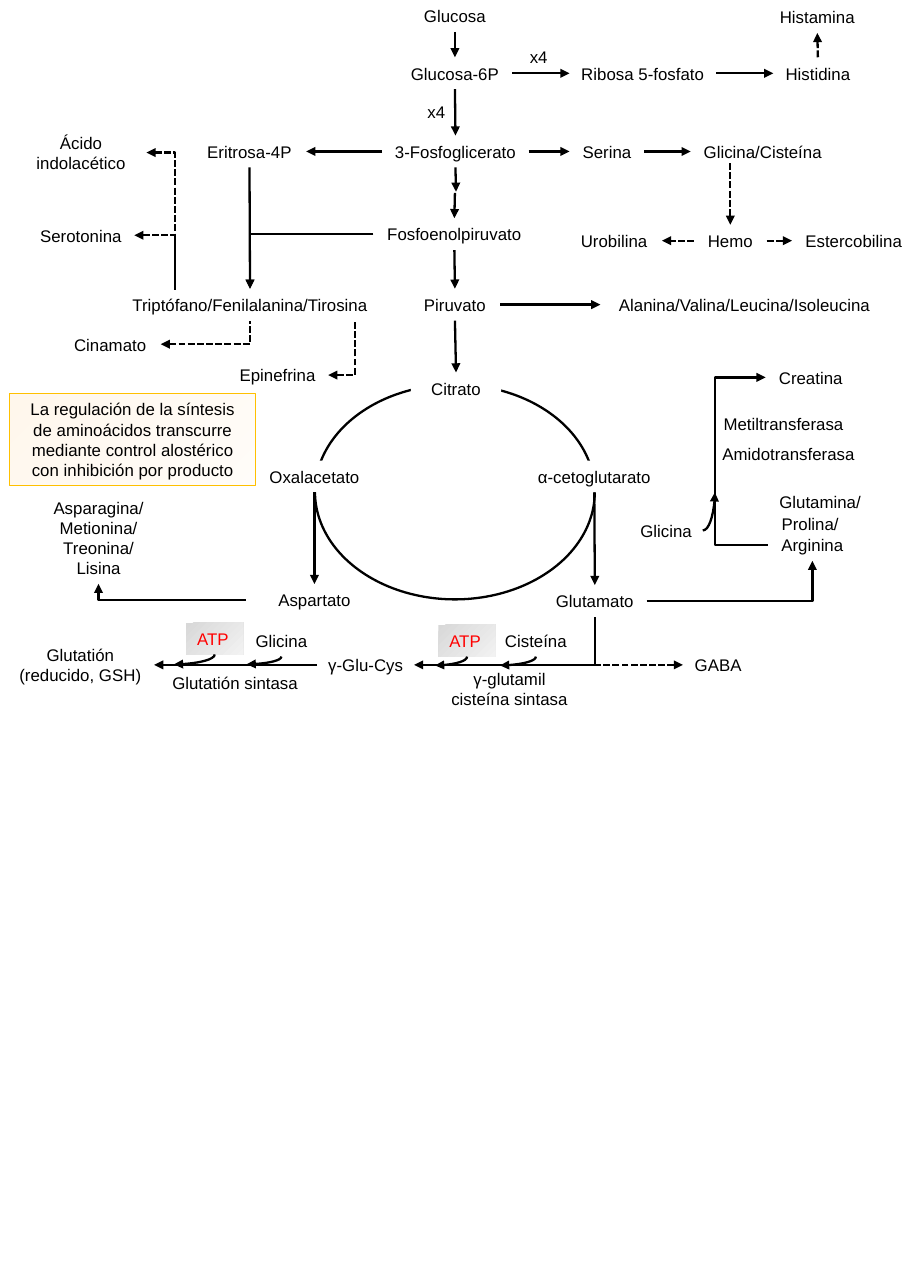
from lxml import etree
from pptx import Presentation
from pptx.dml.color import RGBColor
from pptx.enum.dml import MSO_LINE
from pptx.enum.shapes import MSO_CONNECTOR, MSO_SHAPE
from pptx.enum.text import MSO_ANCHOR, PP_ALIGN
from pptx.oxml.ns import qn
from pptx.util import Pt

PX = 9144  # 100 px to the inch
RECT, OVAL = MSO_SHAPE.RECTANGLE, MSO_SHAPE.OVAL
STRAIGHT, ELBOW, CURVE = MSO_CONNECTOR.STRAIGHT, MSO_CONNECTOR.ELBOW, MSO_CONNECTOR.CURVE
DASH, MIDDLE = MSO_LINE.SQUARE_DOT, MSO_ANCHOR.MIDDLE
LEFT, CENTER, RIGHT = PP_ALIGN.LEFT, PP_ALIGN.CENTER, PP_ALIGN.RIGHT
SIDE_TOP, SIDE_LEFT, SIDE_BOTTOM, SIDE_RIGHT = range(4)
ROW, TWO_ROWS, FOUR_ROWS = 29, 47, 84
BLACK, WHITE, RED, AMBER = "000000", "FFFFFF", "FF0000", "FFC000"
GREYS, CREAMS = ("D8D8D8", "F2F2F2"), ("FFD8A0", "FFF2E3")


def color(code):
    return RGBColor.from_string(code)


def assign(target, values):
    for name, value in values.items():
        setattr(target, name, value)


def fill_gradient(shape, ends, opacity=100):
    shape.fill.gradient()
    shape.fill.gradient_angle = 315
    for stop, code in zip(shape.fill.gradient_stops, ends):
        stop.color.rgb = color(code)
    if opacity < 100:
        for tint in shape._element.spPr.iter(qn("a:srgbClr")):
            etree.SubElement(tint, qn("a:alpha")).set("val", str(opacity * 1000))


def add_label(page, box, text, align=CENTER, ink=BLACK, fill=None, opacity=100, edge=None):
    place = [length * PX for length in box]
    if fill:
        shape = page.shapes.add_shape(RECT, *place)
        shape.shadow.inherit = False
        if isinstance(fill, tuple):
            fill_gradient(shape, fill, opacity)
        else:
            shape.fill.solid()
            shape.fill.fore_color.rgb = color(fill)
        if edge:
            shape.line.color.rgb = color(edge)
            shape.line.width = Pt(0.75)
        else:
            shape.line.fill.background()
    else:
        shape = page.shapes.add_textbox(*place)
    frame = shape.text_frame
    assign(frame, {"word_wrap": box[3] > ROW, "vertical_anchor": MIDDLE, "text": text})
    for para in frame.paragraphs:
        para.alignment = align
        for span in para.runs:
            assign(span.font, {"name": "Arial", "size": Pt(11)})
            span.font.color.rgb = color(ink)
    return shape


def add_labels(page, box, nodes, rows):
    """Each row: text, x, y, width and optional height, key and format."""
    for text, x, y, width, *rest in rows:
        style = dict(rest[0]) if rest else {}
        key = style.pop("key", text)
        height = style.pop("height", ROW)
        nodes[key] = add_label(page, (box[0] + x, box[1] + y, width, height), text, **style)


def find_point(box, nodes, end):
    """An end is either (x, y) in the box or (label key, side)."""
    if not isinstance(end[0], str):
        return (box[0] + end[0]) * PX, (box[1] + end[1]) * PX
    shape, side = nodes[end[0]], end[1]
    across = {SIDE_LEFT: 0, SIDE_RIGHT: 2}.get(side, 1)
    down = {SIDE_TOP: 0, SIDE_BOTTOM: 2}.get(side, 1)
    return shape.left + shape.width * across // 2, shape.top + shape.height * down // 2


def add_arrow(page, box, nodes, begin, end, kind=STRAIGHT, tip="tail", dash=None, bend=None):
    points = find_point(box, nodes, begin) + find_point(box, nodes, end)
    arrow = page.shapes.add_connector(kind, *points)
    for join, target in ((arrow.begin_connect, begin), (arrow.end_connect, end)):
        if isinstance(target[0], str):
            join(nodes[target[0]], target[1])
    properties = arrow._element.spPr
    geometry = properties.find(qn("a:prstGeom"))
    if bend is not None:
        guides = geometry.find(qn("a:avLst"))
        if guides is None:
            guides = etree.SubElement(geometry, qn("a:avLst"))
        guide = etree.SubElement(guides, qn("a:gd"))
        guide.set("name", "adj1")
        guide.set("fmla", f"val {bend}")
    elif kind != STRAIGHT:
        geometry.set("prst", "bentConnector2" if kind == ELBOW else "curvedConnector2")
    arrow.line.color.rgb = color(BLACK)
    arrow.line.width = Pt(1.5)
    if dash:
        arrow.line.dash_style = dash
    etree.SubElement(properties.find(qn("a:ln")), qn(f"a:{tip}End")).set("type", "triangle")
    etree.SubElement(properties, qn("a:effectLst"))


def draw_glycolysis(page, box, nodes):
    add_labels(page, box, nodes, [
        ("Glucosa", 35, 0, 78), ("Glucosa-6P", 22, 52, 104),
        ("3-Fosfoglicerato", 8, 123, 133), ("Fosfoenolpiruvato", 0, 198, 147),
        ("Piruvato", 33, 262, 82), ("Alanina/Valina/Leucina/Isoleucina", 206, 262, 262),
        ("x4", 37, 87, 38, {"align": RIGHT}), ("x4", 130, 37, 38, {"align": RIGHT})])
    for begin, end in [
            (("Glucosa", SIDE_BOTTOM), ("Glucosa-6P", SIDE_TOP)),
            (("Glucosa-6P", SIDE_BOTTOM), ("3-Fosfoglicerato", SIDE_TOP)),
            (("3-Fosfoglicerato", SIDE_BOTTOM), (75, 174)),
            ((74, 175), ("Fosfoenolpiruvato", SIDE_TOP)),
            (("Fosfoenolpiruvato", SIDE_BOTTOM), ("Piruvato", SIDE_TOP)),
            (("Piruvato", SIDE_RIGHT), ("Alanina/Valina/Leucina/Isoleucina", SIDE_LEFT))]:
        add_arrow(page, box, nodes, begin, end)


def draw_histidine_and_serine(page, box, nodes):
    add_labels(page, box, nodes, [
        ("Histamina", 182, 0, 92), ("Ribosa 5-fosfato", 3, 51, 133), ("Histidina", 188, 51, 81),
        ("Serina", 3, 122, 68), ("Glicina/Cisteína", 113, 122, 131),
        ("Urobilina", 0, 203, 87), ("Hemo", 116, 203, 66), ("Estercobilina", 205, 203, 112)])
    for chain in (("Glucosa-6P", "Ribosa 5-fosfato", "Histidina"),
                  ("3-Fosfoglicerato", "Serina", "Glicina/Cisteína")):
        for source, product in zip(chain, chain[1:]):
            add_arrow(page, box, nodes, (source, SIDE_RIGHT), (product, SIDE_LEFT))
    for begin, end in [
            (("Histidina", SIDE_TOP), ("Histamina", SIDE_BOTTOM)),
            ((149, 147), ("Hemo", SIDE_TOP)),
            (("Hemo", SIDE_LEFT), ("Urobilina", SIDE_RIGHT)),
            (("Hemo", SIDE_RIGHT), ("Estercobilina", SIDE_LEFT))]:
        add_arrow(page, box, nodes, begin, end, dash=DASH)


def draw_aromatics(page, box, nodes):
    aromatics = "Triptófano/Fenilalanina/Tirosina"
    add_labels(page, box, nodes, [
        ("Ácido indolacético", 0, 0, 119, {"height": TWO_ROWS}), ("Serotonina", 11, 84, 97),
        ("Eritrosa-4P", 161, 8, 103), (aromatics, 86, 147, 254),
        ("Cinamato", 40, 183, 92), ("Epinefrina", 192, 211, 92)])
    add_arrow(page, box, nodes, ("3-Fosfoglicerato", SIDE_LEFT), ("Eritrosa-4P", SIDE_RIGHT))
    add_arrow(page, box, nodes, ("Eritrosa-4P", SIDE_BOTTOM), (aromatics, SIDE_TOP))
    add_arrow(page, box, nodes, ("Fosfoenolpiruvato", SIDE_LEFT), (aromatics, SIDE_TOP), ELBOW)
    for product, source in [("Ácido indolacético", (145, 148)), ("Serotonina", (145, 148)),
                            ("Cinamato", (aromatics, SIDE_BOTTOM)), ("Epinefrina", (308, 176))]:
        add_arrow(page, box, nodes, (product, SIDE_RIGHT), source, ELBOW, "head", DASH)


def draw_citrate_cycle(page, box, nodes):
    left, top = box
    ring = page.shapes.add_shape(OVAL, *[n * PX for n in (left + 277, top + 11, 254, 195)])
    ring.shadow.inherit = False
    ring.fill.background()
    ring.line.color.rgb = color(BLACK)
    ring.line.width = Pt(1.5)
    asparagine = "Asparagina/\nMetionina/\nTreonina/\nLisina"
    add_labels(page, box, nodes, [
        ("Citrato", 364, 0, 82, {"fill": WHITE}),
        ("α-cetoglutarato", 468, 80, 125, {"fill": WHITE}),
        ("Oxalacetato", 214, 80, 125, {"fill": WHITE}),
        ("Aspartato", 214, 192, 125), ("Glutamato", 484, 193, 94),
        (asparagine, 18, 108, 125, {"height": FOUR_ROWS}),
        ("La regulación de la síntesis de aminoácidos transcurre mediante control alostérico "
         "con inhibición por producto", 0, 19, 223,
         {"height": FOUR_ROWS, "fill": CREAMS, "opacity": 20, "edge": AMBER})])
    for source, product in (("Piruvato", "Citrato"), ("Oxalacetato", "Aspartato"),
                            ("α-cetoglutarato", "Glutamato")):
        add_arrow(page, box, nodes, (source, SIDE_BOTTOM), (product, SIDE_TOP))
    add_arrow(page, box, nodes, ("Aspartato", SIDE_LEFT), (asparagine, SIDE_BOTTOM), ELBOW)


def draw_creatine(page, box, nodes):
    add_labels(page, box, nodes, [
        ("Creatina", 182, 0, 82), ("Metiltransferasa", 134, 42, 146, {"align": LEFT}),
        ("Amidotransferasa", 133, 69, 146, {"align": LEFT}), ("Glutamina/", 169, 113, 125),
        ("Prolina/", 160, 133, 125), ("Arginina", 184, 152, 81),
        ("Glicina", 0, 139, 125, {"align": RIGHT})])
    add_arrow(page, box, nodes, ("Glutamato", SIDE_RIGHT), ("Arginina", SIDE_BOTTOM), ELBOW)
    add_arrow(page, box, nodes, ("Creatina", SIDE_LEFT), ("Arginina", SIDE_LEFT), ELBOW,
              "head", bend=-2300000)
    add_arrow(page, box, nodes, ("Glicina", SIDE_RIGHT), (136, 119), CURVE)


def draw_glutathione(page, box, nodes):
    atp = {"align": LEFT, "ink": RED, "fill": GREYS}
    glutathione = "Glutatión\n(reducido, GSH)"
    add_labels(page, box, nodes, [
        (glutathione, 0, 15, 134, {"height": TWO_ROWS}), ("γ-Glu-Cys", 282, 24, 88),
        ("γ-glutamil cisteína sintasa", 386, 37, 141, {"height": TWO_ROWS}),
        ("Glutatión sintasa", 137, 40, 141), ("GABA", 614, 24, 64),
        ("Cisteína", 441, 2, 79), ("ATP", 392, 2, 52, {"key": "first ATP", **atp}),
        ("Glicina", 210, 2, 79, {"key": "second Glicina"}),
        ("ATP", 163, 0, 52, {"key": "second ATP", **atp})])
    add_arrow(page, box, nodes, ("γ-Glu-Cys", SIDE_LEFT), (glutathione, SIDE_RIGHT))
    source = ("Glutamato", SIDE_BOTTOM)
    add_arrow(page, box, nodes, ("γ-Glu-Cys", SIDE_RIGHT), source, ELBOW, "head")
    add_arrow(page, box, nodes, ("GABA", SIDE_LEFT), source, ELBOW, "head", DASH)
    for substrate, entry in [("Cisteína", (448, 39)), ("first ATP", (389, 39)),
                             ("second Glicina", (218, 38)), ("second ATP", (152, 38))]:
        add_arrow(page, box, nodes, entry, (substrate, SIDE_BOTTOM), CURVE, "head")


def main():
    deck = Presentation()
    assign(deck, {"slide_width": 827 * PX, "slide_height": 1169 * PX})
    page = deck.slides.add_slide(deck.slide_layouts[6])
    nodes = {}
    # Regions, each from its top left corner
    for draw, corner in [
            (draw_glycolysis, (339, 0)), (draw_histidine_and_serine, (514, 1)),
            (draw_aromatics, (14, 115)), (draw_citrate_cycle, (9, 338)),
            (draw_creatine, (513, 328)), (draw_glutathione, (6, 565))]:
        draw(page, corner, nodes)
    deck.save("out.pptx")


if __name__ == "__main__":
    main()
